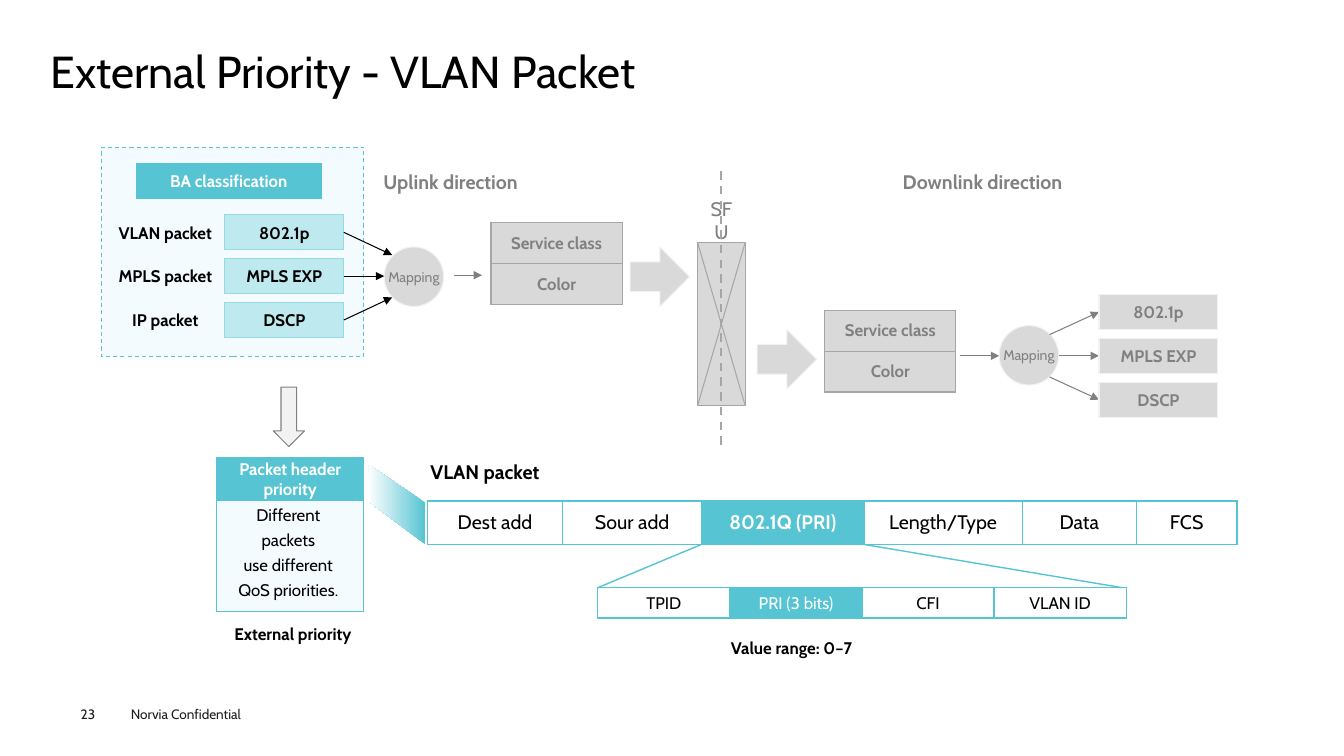
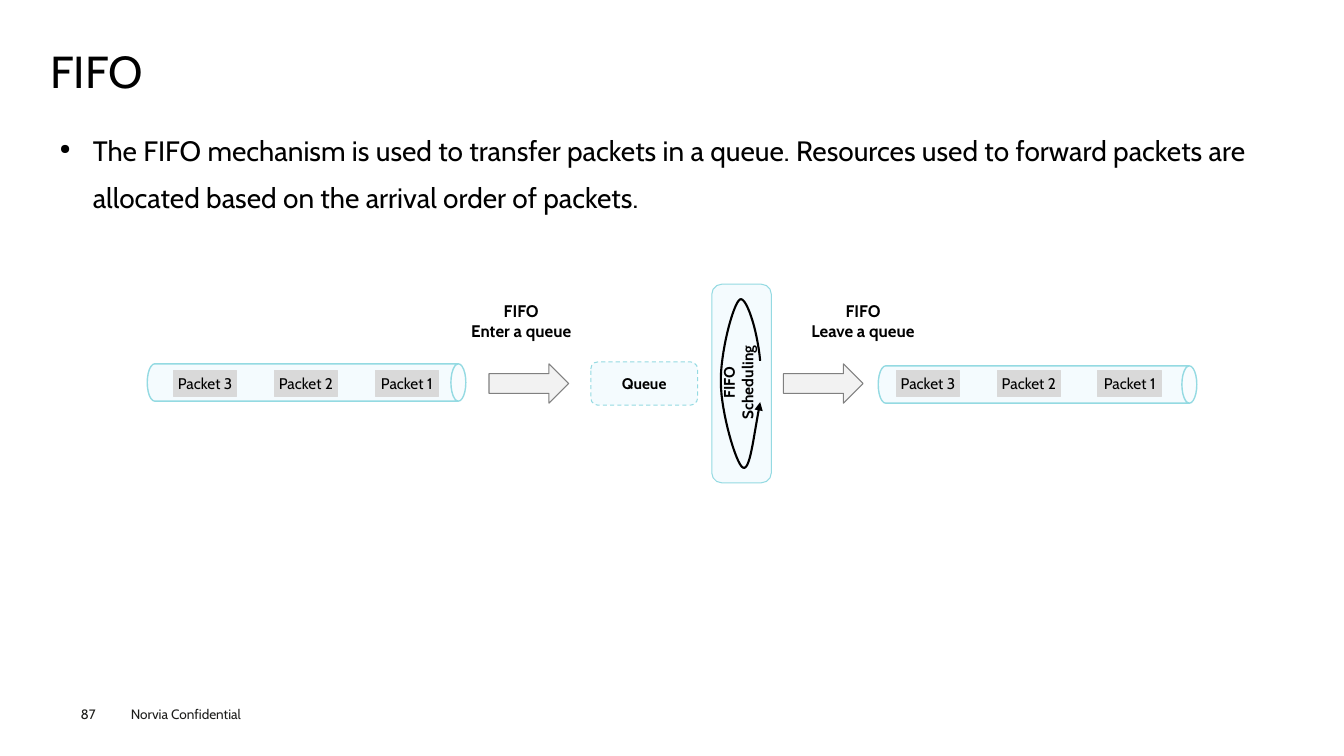
"""Build two slides on packet priority mapping and FIFO queue scheduling."""
import lxml.etree
import pptx
import pptx.dml.color
import pptx.enum.dml
import pptx.enum.shapes
import pptx.enum.text
import pptx.oxml.ns
import pptx.util

RGBColor = pptx.dml.color.RGBColor
Inches = pptx.util.Inches
SHAPE = pptx.enum.shapes.MSO_SHAPE
ALIGN = pptx.enum.text.PP_ALIGN
ANCHOR = pptx.enum.text.MSO_ANCHOR
qn = pptx.oxml.ns.qn

FONT = "Cabin"
BLACK = RGBColor(0x00, 0x00, 0x00)
WHITE = RGBColor(0xFF, 0xFF, 0xFF)
INK = RGBColor(0x1D, 0x1D, 0x1B)
TEAL = RGBColor(0x56, 0xC4, 0xD2)
TEAL_MID = RGBColor(0x94, 0xDA, 0xE2)
TEAL_LIGHT = RGBColor(0xBE, 0xE9, 0xEE)
TEAL_PALE = RGBColor(0xF4, 0xFB, 0xFE)
GRAY = RGBColor(0x80, 0x80, 0x80)
GRAY_MID = RGBColor(0xA6, 0xA6, 0xA6)
GRAY_LIGHT = RGBColor(0xD9, 0xD9, 0xD9)
GRAY_PALE = RGBColor(0xF2, 0xF2, 0xF2)

FOOTER = "Norvia Confidential"
PRIORITY_TITLE = "External Priority - VLAN Packet"
FIFO_TITLE = "FIFO"
FIFO_TEXT = (
    "The FIFO mechanism is used to transfer packets in a queue. Resources used to "
    "forward packets are allocated based on the arrival order of packets."
)
CLASSIFICATION = [("VLAN packet", "802.1p"), ("MPLS packet", "MPLS EXP"), ("IP packet", "DSCP")]
PRIORITY_NOTE = ["Different packets", "use different", "QoS priorities."]
SERVICE_ROWS = [["Service class"], ["Color"]]
FRAME_FIELDS = ["Dest add", "Sour add", "802.1Q (PRI)", "Length/Type", "Data", "FCS"]
FRAME_WIDTHS = [1.34, 1.38, 1.61, 1.57, 1.13, 1]
TAG_FIELDS = ["TPID", "PRI (3 bits)", "CFI", "VLAN ID"]
TAG_WIDTHS = [1.31] * 4
PACKETS = ["Packet 3", "Packet 2", "Packet 1"]
QUEUE_ENDS = [
    {"pipe": 1.46, "pipe_top": 3.61, "packets": 1.72, "arrow": 4.85, "label": 4.54,
     "lines": ["FIFO", "Enter a queue"]},
    {"pipe": 8.71, "pipe_top": 3.63, "packets": 8.89, "arrow": 7.77, "label": 7.93,
     "lines": ["FIFO", "Leave a queue"]},
]
WEDGE = [(3.66, 4.61), (4.22, 4.99), (4.22, 5.4), (3.65, 4.97)]
LOOP_START = (7.54, 3.58)
LOOP_CURVES = [
    ((7.51, 3.26), (7.4, 2.94), (7.34, 2.97)),
    ((7.27, 3.01), (7.14, 3.52), (7.15, 3.8)),
    ((7.15, 4.08), (7.3, 4.61), (7.37, 4.64)),
    ((7.44, 4.67), (7.47, 4.35), (7.54, 3.99)),
]
ROW_STEP = 0.87 / 2
ROW_HEIGHT = 0.35
PACKET_STEP = 1.0


def inches(values):
    return [Inches(value) for value in values]


def format_paragraph(paragraph, size, color, bold, align=ALIGN.CENTER):
    paragraph.alignment = align
    font = paragraph.font
    font.name, font.size, font.bold = FONT, pptx.util.Pt(size), bold
    font.color.rgb = color


def add_bullet(paragraph):
    properties = paragraph._p.get_or_add_pPr()
    properties.set("marL", str(Inches(0.33)))
    properties.set("indent", str(Inches(-0.33)))
    lxml.etree.SubElement(properties, qn("a:buSzPct"), val="50000")
    lxml.etree.SubElement(properties, qn("a:buChar"), char="●")


def write(shape, lines, size=12, color=BLACK, bold=False, align=ALIGN.CENTER,
          anchor=ANCHOR.MIDDLE, inset=(0.1, 0.05), wrap=True, spacing=None, bullet=False):
    frame = shape.text_frame
    frame.word_wrap = wrap
    frame.vertical_anchor = anchor
    frame.margin_left = frame.margin_right = Inches(inset[0])
    frame.margin_top = frame.margin_bottom = Inches(inset[1])
    frame.text = "\n".join(lines)
    for paragraph in frame.paragraphs:
        paragraph.line_spacing = spacing
        if bullet:
            add_bullet(paragraph)
        format_paragraph(paragraph, size, color, bold, align)


def add_text(slide, at, *lines, **style):
    shape = slide.shapes.add_textbox(*inches(at))
    write(shape, lines, **style)
    return shape


def style_line(shape, color, width, dashed=False, arrow=False):
    shape.line.color.rgb = color
    shape.line.width = pptx.util.Pt(width)
    if dashed:
        shape.line.dash_style = pptx.enum.dml.MSO_LINE.DASH
    if arrow:
        outline = shape.element.spPr.find(qn("a:ln"))
        lxml.etree.SubElement(outline, qn("a:tailEnd"), type="triangle")


def add_box(slide, kind, at, fill, line, *lines, width=0.75, dashed=False, **style):
    shape = slide.shapes.add_shape(kind, *inches(at))
    shape.shadow.inherit = False
    shape.fill.solid()
    shape.fill.fore_color.rgb = fill
    style_line(shape, line, width, dashed)
    if lines:
        write(shape, lines, **style)
    return shape


def add_line(slide, start, end, color, width=0.75, dashed=False, arrow=False):
    connector = slide.shapes.add_connector(
        pptx.enum.shapes.MSO_CONNECTOR.STRAIGHT, *inches(start + end))
    style_line(connector, color, width, dashed, arrow)
    lxml.etree.SubElement(connector.element.spPr, qn("a:effectLst"))


def add_outline(slide, points, close):
    start, *others = [inches(point) for point in points]
    builder = slide.shapes.build_freeform(*start)
    builder.add_line_segments(others, close=close)
    shape = builder.convert_to_shape()
    shape.shadow.inherit = False
    return shape


def curve_points(start, curves, steps=16):
    points = [start]
    for curve in curves:
        corners = [points[-1], *curve]
        for step in range(1, steps + 1):
            t = step / steps
            weights = ((1 - t) ** 3, 3 * t * (1 - t) ** 2, 3 * t * t * (1 - t), t ** 3)
            points.append(tuple(
                sum(weight * corner[axis] for weight, corner in zip(weights, corners))
                for axis in (0, 1)))
    return points


def add_grid(slide, left, top, widths, height, rows, border, size=12, fill=WHITE,
             color=BLACK, bold=False, side=0.1, accent=None, accent_bold=False):
    table = slide.shapes.add_table(
        len(rows), len(widths),
        *inches((left, top, sum(widths), height * len(rows)))).table
    table.first_row = table.horz_banding = False
    for column, width in zip(table.columns, widths):
        column.width = Inches(width)
    for row, texts in zip(table.rows, rows):
        row.height = Inches(height)
        for cell, text in zip(row.cells, texts):
            marked = text == accent
            cell.text = text
            cell.vertical_anchor = ANCHOR.MIDDLE
            cell.margin_left = cell.margin_right = Inches(side)
            format_paragraph(cell.text_frame.paragraphs[0], size,
                             WHITE if marked else color, accent_bold if marked else bold)
            properties = cell._tc.get_or_add_tcPr()
            for edge in ("a:lnL", "a:lnR", "a:lnT", "a:lnB"):
                line = lxml.etree.SubElement(properties, qn(edge), w=str(pptx.util.Pt(1)))
                solid = lxml.etree.SubElement(line, qn("a:solidFill"))
                lxml.etree.SubElement(solid, qn("a:srgbClr"), val=str(border))
            cell.fill.solid()
            cell.fill.fore_color.rgb = TEAL if marked else fill


def add_slide(presentation, title, number):
    slide = presentation.slides.add_slide(presentation.slide_layouts[6])
    footer = dict(size=9.7, color=INK, align=ALIGN.LEFT, anchor=ANCHOR.TOP)
    add_text(slide, (1.2, 6.95, 1.6, 0.27), FOOTER, **footer)
    add_text(slide, (0.8, 7, 0.55, 0.16), number, inset=(0, 0), **footer)
    add_text(slide, (0.5, 0.49, 12.35, 0.54), title, size=32, align=ALIGN.LEFT,
             anchor=ANCHOR.TOP, inset=(0, 0), spacing=0.9)
    return slide


def add_mapping(slide, left, top):
    add_box(slide, SHAPE.OVAL, (left, top, 0.59, 0.59), GRAY_LIGHT, GRAY_PALE, "Mapping",
            size=10, color=GRAY, inset=(0, 0), wrap=False)


def add_service_class(slide, left, top):
    add_grid(slide, left, top, [1.3], 0.81 / 2, SERVICE_ROWS, GRAY_MID, fill=GRAY_LIGHT,
             color=GRAY, bold=True, side=0.04)


def draw_uplink(slide):
    add_box(slide, SHAPE.RECTANGLE, (1.01, 1.46, 2.6, 2.08), TEAL_PALE, TEAL, dashed=True)
    add_box(slide, SHAPE.RECTANGLE, (1.35, 1.62, 1.84, 0.35), TEAL, TEAL,
            "BA classification", color=WHITE, bold=True)
    add_mapping(slide, 3.81, 2.45)
    targets = [(3.89, 2.53), (3.81, 2.74), (3.89, 2.95)]
    for index, ((packet, field), target) in enumerate(zip(CLASSIFICATION, targets)):
        top = 2.13 + index * ROW_STEP
        add_text(slide, (0.95, top, 1.38, ROW_HEIGHT), packet, bold=True)
        add_box(slide, SHAPE.RECTANGLE, (2.23, top, 1.18, ROW_HEIGHT), TEAL_LIGHT, TEAL_MID,
                field, bold=True)
        add_line(slide, (3.41, top + ROW_HEIGHT / 2), target, BLACK, arrow=True)
    add_line(slide, (4.5, 2.73), (4.78, 2.73), GRAY, arrow=True)
    add_service_class(slide, 4.87, 2.21)
    add_text(slide, (3.61, 1.64, 1.72, 0.33), "Uplink direction", size=14, color=GRAY, bold=True)


def draw_switch_fabric(slide):
    left, top, right, bottom = 6.92, 2.41, 7.39, 4.02
    for arrow_left, arrow_top in ((6.25, 2.45), (7.51, 3.27)):
        add_box(slide, SHAPE.RIGHT_ARROW, (arrow_left, arrow_top, 0.59, 0.59),
                GRAY_LIGHT, GRAY_PALE)
    add_box(slide, SHAPE.RECTANGLE, (left, top, right - left, bottom - top),
            GRAY_LIGHT, GRAY_MID)
    add_line(slide, (left, top), (right, bottom), GRAY_MID)
    add_line(slide, (right, top), (left, bottom), GRAY_MID)
    add_text(slide, (6.88, 2.02, 0.55, 0.33), "SFU", size=14, color=GRAY)
    add_line(slide, (7.15, 1.7), (7.15, 4.45), GRAY_MID, width=1.5, dashed=True)


def draw_downlink(slide):
    add_service_class(slide, 8.18, 3.08)
    add_line(slide, (9.52, 3.53), (9.91, 3.53), GRAY, arrow=True)
    add_mapping(slide, 9.91, 3.23)
    starts = [(10.41, 3.32), (10.5, 3.53), (10.41, 3.74)]
    for index, ((_, field), start) in enumerate(zip(CLASSIFICATION, starts)):
        top = 2.92 + index * ROW_STEP
        add_line(slide, start, (10.9, top + ROW_HEIGHT / 2), GRAY, arrow=True)
        add_box(slide, SHAPE.RECTANGLE, (10.9, top, 1.18, ROW_HEIGHT), GRAY_LIGHT, GRAY_PALE,
                field, color=GRAY, bold=True)
    add_text(slide, (8.74, 1.64, 2.01, 0.33), "Downlink direction", size=14, color=GRAY,
             bold=True)


def draw_vlan_packet(slide):
    add_box(slide, SHAPE.DOWN_ARROW, (2.71, 3.84, 0.31, 0.59), GRAY_PALE, GRAY)
    add_box(slide, SHAPE.RECTANGLE, (2.15, 4.97, 1.46, 1.1), TEAL_PALE, TEAL)
    add_text(slide, (2.19, 4.9, 1.34, 1.11), *PRIORITY_NOTE, spacing=1.25)
    add_box(slide, SHAPE.RECTANGLE, (2.15, 4.54, 1.46, 0.42), TEAL, TEAL,
            "Packet header priority", color=WHITE, bold=True)
    add_text(slide, (2.08, 6.11, 1.65, 0.35), "External priority", bold=True)
    wedge = add_outline(slide, WEDGE, close=True)
    wedge.line.fill.background()
    wedge.fill.gradient()
    wedge.fill.gradient_angle = 180
    for stop, color in zip(wedge.fill.gradient_stops, (TEAL, WHITE)):
        stop.color.rgb = color
    add_text(slide, (4.1, 4.51, 1.42, 0.33), "VLAN packet", size=14, bold=True)
    add_grid(slide, 4.24, 4.97, FRAME_WIDTHS, 0.43, [FRAME_FIELDS], TEAL, size=14,
             accent="802.1Q (PRI)", accent_bold=True)
    add_grid(slide, 5.93, 5.83, TAG_WIDTHS, 0.3, [TAG_FIELDS], TEAL, accent="PRI (3 bits)")
    add_line(slide, (6.96, 5.4), (5.93, 5.83), TEAL, width=1)
    add_line(slide, (8.56, 5.4), (11.13, 5.83), TEAL, width=1)
    add_text(slide, (7.15, 6.23, 1.81, 0.39), "Value range: 0–7", bold=True, align=ALIGN.LEFT)


def draw_queue(slide):
    for end in QUEUE_ENDS:
        pipe_left = end["pipe"] + (3.16 - 0.37) / 2
        pipe_top = end["pipe_top"] - (3.16 - 0.37) / 2
        pipe = add_box(slide, SHAPE.CAN, (pipe_left, pipe_top, 0.37, 3.16), TEAL_PALE,
                       TEAL_MID, width=1)
        pipe.rotation = 90
        pipe.adjustments[0] = 0.4
        for index, packet in enumerate(PACKETS):
            add_box(slide, SHAPE.RECTANGLE,
                    (end["packets"] + index * PACKET_STEP, 3.68, 0.63, 0.25),
                    GRAY_LIGHT, GRAY_LIGHT, packet, size=11, inset=(0, 0), wrap=False)
        add_box(slide, SHAPE.RIGHT_ARROW, (end["arrow"], 3.61, 0.79, 0.39), GRAY_PALE, GRAY)
        add_text(slide, (end["label"], 2.89, 1.26, 0.59), *end["lines"], bold=True,
                 inset=(0.04, 0.05))
    add_box(slide, SHAPE.ROUNDED_RECTANGLE, (5.86, 3.59, 1.06, 0.43), TEAL_PALE, TEAL_MID,
            "Queue", dashed=True, size=11, bold=True)
    add_box(slide, SHAPE.ROUNDED_RECTANGLE, (7.06, 2.82, 0.59, 1.97), TEAL_PALE, TEAL_MID)
    label = add_text(slide, (6.87, 3.56, 0.9, 0.47), "FIFO", "Scheduling", size=11,
                     bold=True, inset=(0.04, 0.05))
    label.rotation = 270
    loop = add_outline(slide, curve_points(LOOP_START, LOOP_CURVES), close=False)
    loop.fill.background()
    style_line(loop, BLACK, 1.5, arrow=True)


def main():
    presentation = pptx.Presentation()
    presentation.slide_width, presentation.slide_height = inches((13.33, 7.5))
    priority = add_slide(presentation, PRIORITY_TITLE, "23")
    for draw in (draw_uplink, draw_switch_fabric, draw_downlink, draw_vlan_packet):
        draw(priority)
    fifo = add_slide(presentation, FIFO_TITLE, "87")
    add_text(fifo, (0.5, 1.15, 12.35, 1.1), FIFO_TEXT, size=20, align=ALIGN.LEFT,
             anchor=ANCHOR.TOP, inset=(0.09, 0.04), spacing=1.4, bullet=True)
    draw_queue(fifo)
    presentation.save("out.pptx")


if __name__ == "__main__":
    main()
